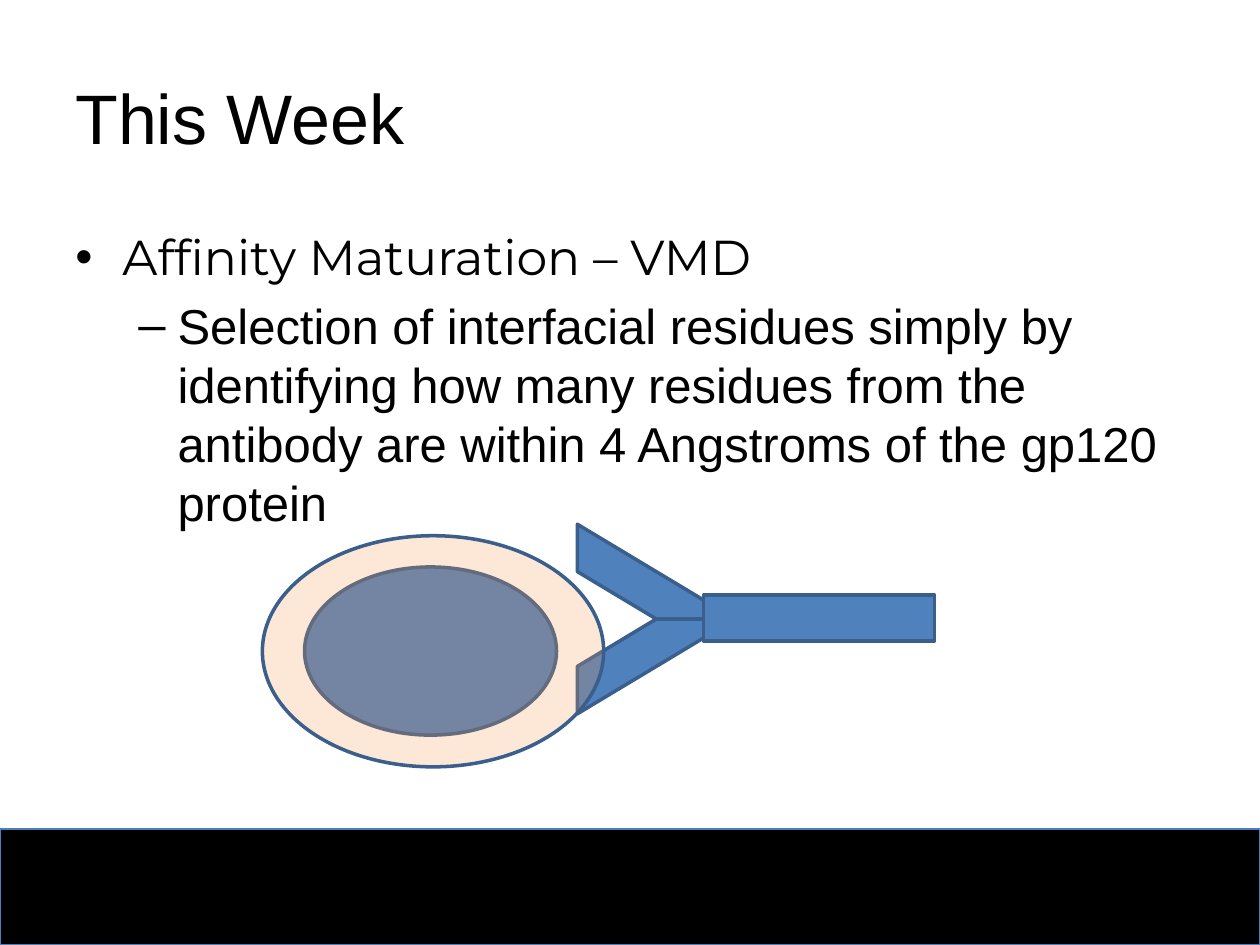
from dataclasses import dataclass

from lxml.etree import SubElement
from pptx import Presentation
from pptx.dml.color import RGBColor
from pptx.enum.shapes import MSO_SHAPE
from pptx.enum.text import MSO_ANCHOR
from pptx.oxml.ns import qn
from pptx.util import Cm, Pt


@dataclass(frozen=True)
class Theme:
    text: str = "000000"
    band: str = "000000"
    band_line: str = "4B7EBC"
    protein: str = "4F81BD"
    envelope: str = "F79646"
    outline: str = "3A5F8C"
    font: str = "Arial"
    accent_font: str = "Montserrat"
    title_size: int = 40
    body_size: int = 28


THEME = Theme()


def add_figure(slide, kind, left, top, width, height, fill=THEME.protein,
               line=THEME.outline, weight=2, alpha=None, flip=False):
    """Add a preset shape; alpha is opacity in percent, flip is vertical."""
    s = slide.shapes.add_shape(kind, Cm(left), Cm(top), Cm(width), Cm(height))
    s.shadow.inherit = False
    s.fill.solid()
    s.fill.fore_color.rgb = RGBColor.from_string(fill)
    s.line.color.rgb = RGBColor.from_string(line)
    s.line.width = Pt(weight)
    if alpha is not None:
        color = s.fill._xPr.find(qn("a:solidFill"))[0]
        SubElement(color, qn("a:alpha")).set("val", str(alpha * 1000))
    if flip:
        s._element.spPr.find(qn("a:xfrm")).set("flipV", "1")
    return s


def add_text_frame(slide, left, top, width, height, anchor):
    tf = slide.shapes.add_textbox(Cm(left), Cm(top), Cm(width), Cm(height)).text_frame
    tf.word_wrap = True
    tf.vertical_anchor = anchor
    return tf


def add_run(p, text, font, size):
    r = p.add_run()
    r.text = text
    r.font.name = font
    r.font.size = Pt(size)
    r.font.color.rgb = RGBColor.from_string(THEME.text)


def set_bullet(p, char, level, margin, hanging):
    p.level = level
    pPr = p._p.get_or_add_pPr()
    pPr.set("marL", str(Cm(margin)))
    pPr.set("indent", str(-Cm(hanging)))
    SubElement(pPr, qn("a:buFont")).set("typeface", THEME.font)
    SubElement(pPr, qn("a:buChar")).set("char", char)


def add_title(slide, text):
    tf = add_text_frame(slide, 1.27, 0.76, 22.86, 3.18, MSO_ANCHOR.MIDDLE)
    add_run(tf.paragraphs[0], text, THEME.font, THEME.title_size)


def add_body(slide):
    tf = add_text_frame(slide, 1.27, 4.45, 22.86, 12.57, MSO_ANCHOR.TOP)
    p = tf.paragraphs[0]
    set_bullet(p, "•", 0, 0.95, 0.95)
    add_run(p, "Affinity Maturation – VMD", THEME.accent_font, THEME.body_size)
    p = tf.add_paragraph()
    set_bullet(p, "–", 1, 2.06, 0.79)
    p.space_before = Pt(0.2 * THEME.body_size)
    add_run(p, "Selection of interfacial residues simply by identifying how many "
               "residues from the antibody are within 4 Angstroms of the gp120 protein",
            THEME.font, THEME.body_size)


def add_antibody(slide):
    arm_left, arm_width, arm_height, joint = 11.64, 3.18, 1.91, 12.48
    for top, flip in ((joint, False), (joint - arm_height, True)):
        add_figure(slide, MSO_SHAPE.DIAGONAL_STRIPE, arm_left, top,
                   arm_width, arm_height, flip=flip)
    add_figure(slide, MSO_SHAPE.RECTANGLE, 14.18, 12, 4.66, 0.92)


def main():
    prs = Presentation()
    prs.slide_width, prs.slide_height = Cm(25.4), Cm(19.05)
    slide = prs.slides.add_slide(prs.slide_layouts[6])
    add_figure(slide, MSO_SHAPE.RECTANGLE, 0, 16.71, 25.4, 2.34,
               THEME.band, THEME.band_line, 0.75)
    add_title(slide, "This Week")
    add_body(slide)
    add_figure(slide, MSO_SHAPE.OVAL, 6.14, 11.43, 5.08, 3.39)
    add_antibody(slide)
    add_figure(slide, MSO_SHAPE.OVAL, 5.29, 10.8, 6.88, 4.66,
               THEME.envelope, alpha=22)
    prs.save("out.pptx")


if __name__ == "__main__":
    main()
